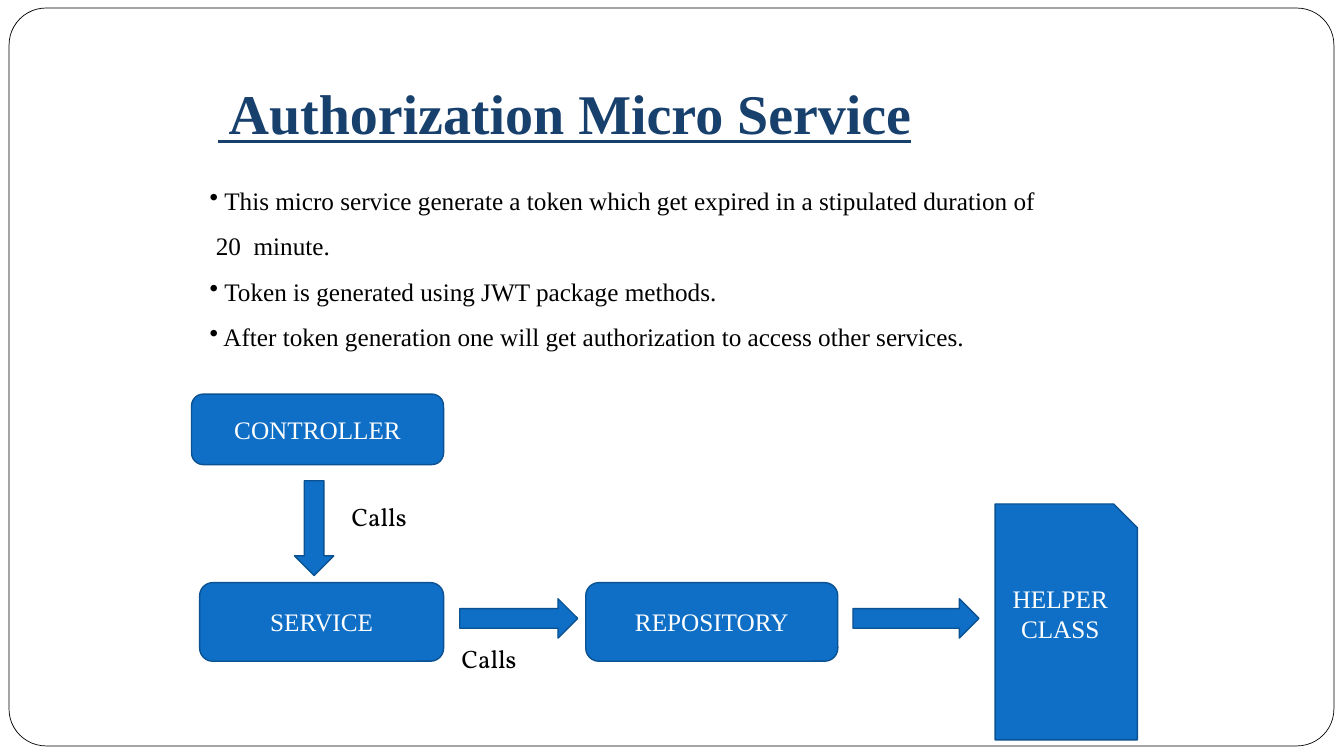
import pptx
import pptx.dml.color
import pptx.enum.shapes
import pptx.enum.text
import pptx.oxml.ns
import pptx.util
from lxml import etree

Inches = pptx.util.Inches
Pt = pptx.util.Pt
RGBColor = pptx.dml.color.RGBColor
SHAPE = pptx.enum.shapes.MSO_SHAPE
ANCHOR = pptx.enum.text.MSO_ANCHOR
ALIGN = pptx.enum.text.PP_ALIGN
AUTO_SIZE = pptx.enum.text.MSO_AUTO_SIZE

BLACK = RGBColor(0x00, 0x00, 0x00)
WHITE = RGBColor(0xFF, 0xFF, 0xFF)
NAVY = RGBColor(0x17, 0x40, 0x6D)
BLUE = RGBColor(0x0F, 0x6F, 0xC6)
DARK_BLUE = RGBColor(0x0B, 0x52, 0x92)


class SlideBuilder:
    serif = "Times New Roman"
    label_font = "Vollkorn"
    body_size = 18

    def __init__(self, slide):
        self.s = slide

    def font(self, p, color, name=None, size=None):
        p.font.name = name or self.serif
        p.font.size = Pt(size or self.body_size)
        p.font.color.rgb = color

    def frame(self, x, y, w, h):
        sp = self.s.shapes.add_shape(SHAPE.ROUNDED_RECTANGLE, Inches(x), Inches(y), Inches(w), Inches(h))
        sp.adjustments[0] = 0.05
        sp.shadow.inherit = False
        sp.fill.background()
        sp.line.color.rgb = BLACK
        sp.line.width = Pt(0.5)

    def title(self, text, x, y, w, h):
        sp = self.s.shapes.title
        sp.left, sp.top, sp.width, sp.height = Inches(x), Inches(y), Inches(w), Inches(h)
        tf = sp.text_frame
        tf.text = text
        tf.auto_size = AUTO_SIZE.NONE
        tf.vertical_anchor = ANCHOR.BOTTOM
        tf.margin_bottom = Inches(0.1)
        p = tf.paragraphs[0]
        p.alignment = ALIGN.LEFT
        self.font(p, NAVY, size=40)
        p.font.bold = True
        p.font.underline = True

    def block(self, kind, x, y, w, h, text="", margin_bottom=0.05):
        """Add a blue preset shape, with centred white text if any is given."""
        sp = self.s.shapes.add_shape(kind, Inches(x), Inches(y), Inches(w), Inches(h))
        sp.shadow.inherit = False
        sp.fill.solid()
        sp.fill.fore_color.rgb = BLUE
        sp.line.color.rgb = DARK_BLUE
        sp.line.width = Pt(1)
        if text:
            tf = sp.text_frame
            tf.text = text
            tf.word_wrap = True
            tf.vertical_anchor = ANCHOR.MIDDLE
            tf.margin_bottom = Inches(margin_bottom)
            p = tf.paragraphs[0]
            p.alignment = ALIGN.CENTER
            self.font(p, WHITE)

    def text_frame(self, x, y, w, h):
        tf = self.s.shapes.add_textbox(Inches(x), Inches(y), Inches(w), Inches(h)).text_frame
        tf.word_wrap = True
        return tf

    def label(self, text, x, y, w, h):
        tf = self.text_frame(x, y, w, h)
        tf.text = text
        self.font(tf.paragraphs[0], BLACK, self.label_font)

    def bullets(self, lines, x, y, w, h):
        """Add 1.5-spaced lines, each a pair of text and whether it has a bullet."""
        tf = self.text_frame(x, y, w, h)
        for i, (text, bulleted) in enumerate(lines):
            p = tf.add_paragraph() if i else tf.paragraphs[0]
            p.text = text
            p.line_spacing = 1.5
            self.font(p, BLACK)
            if bulleted:
                pPr = p._p.get_or_add_pPr()
                bullet = etree.Element(pptx.oxml.ns.qn("a:buChar"), char="•")
                pPr.find(pptx.oxml.ns.qn("a:defRPr")).addprevious(bullet)


def main():
    prs = pptx.Presentation()
    prs.slide_width, prs.slide_height = Inches(13.33), Inches(7.5)
    b = SlideBuilder(prs.slides.add_slide(prs.slide_layouts[5]))

    b.frame(0.09, 0.08, 13.14, 7.32)
    b.title(" Authorization Micro Service", 2.06, 0.3, 9.11, 1.25)
    b.bullets([
        (" This micro service generate a token which get expired in a stipulated duration of", True),
        (" 20  minute.", False),
        (" Token is generated using JWT package methods.", True),
        (" After token generation one will get authorization to access other services.", True),
    ], 1.98, 1.64, 9.22, 1.92)

    b.block(SHAPE.ROUNDED_RECTANGLE, 1.9, 3.91, 2.5, 0.7, "CONTROLLER")
    b.block(SHAPE.DOWN_ARROW, 2.92, 4.77, 0.39, 0.94)
    b.label("Calls", 3.39, 4.92, 1.17, 0.4)

    b.block(SHAPE.ROUNDED_RECTANGLE, 1.98, 5.78, 2.42, 0.78, "SERVICE")
    b.block(SHAPE.RIGHT_ARROW, 4.56, 5.94, 1.17, 0.39)
    b.label("Calls", 4.48, 6.33, 1.33, 0.4)
    b.block(SHAPE.ROUNDED_RECTANGLE, 5.81, 5.78, 2.5, 0.78, "REPOSITORY")
    b.block(SHAPE.RIGHT_ARROW, 8.46, 5.94, 1.25, 0.39)
    b.block(SHAPE.SNIP_1_RECTANGLE, 9.87, 5, 1.41, 2.34, "HELPER CLASS", margin_bottom=0.33)

    prs.save("out.pptx")


if __name__ == "__main__":
    main()
